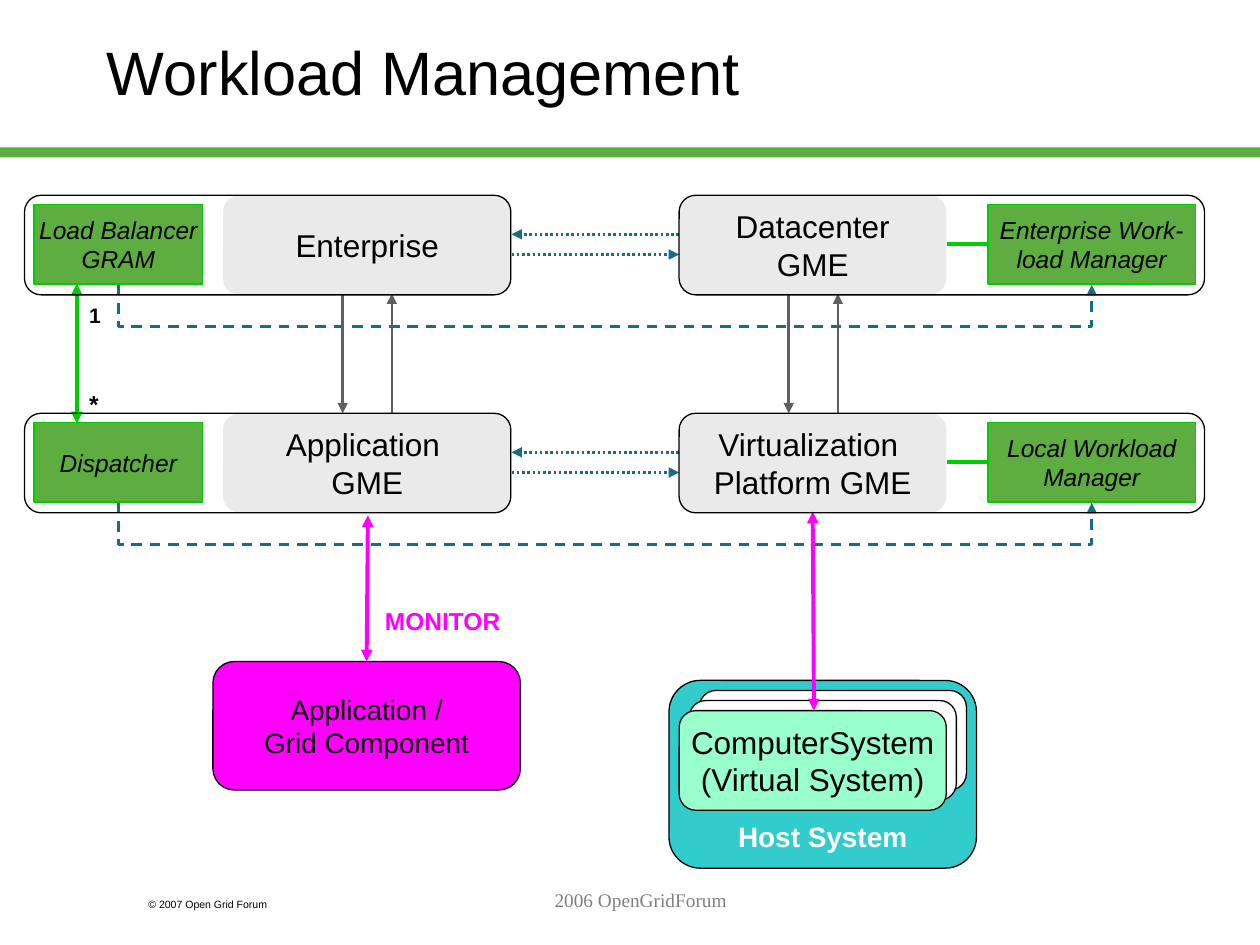
from dataclasses import dataclass

import pptx
import pptx.dml.color
import pptx.enum.dml
import pptx.enum.shapes
import pptx.enum.text
import pptx.oxml
import pptx.oxml.ns
import pptx.util

SHAPE = pptx.enum.shapes.MSO_SHAPE
CONNECTOR = pptx.enum.shapes.MSO_CONNECTOR
DASH = pptx.enum.dml.MSO_LINE
ANCHOR = pptx.enum.text.MSO_ANCHOR
ALIGN = pptx.enum.text.PP_ALIGN


@dataclass(frozen=True)
class Theme:
    """Colours, fonts and type sizes of the slide."""
    black: str = "000000"
    white: str = "FFFFFF"
    green: str = "5DAD41"
    bright: str = "00CC00"
    pale: str = "EAEAEA"
    grey: str = "5F5F5F"
    muted: str = "808080"
    blue: str = "176D89"
    magenta: str = "FF00FF"
    teal: str = "33CCCC"
    mint: str = "99FFCC"
    sans: str = "Arial"
    serif: str = "Times New Roman"
    title: float = 35
    gme: float = 18
    system: float = 16
    manager: float = 14
    count: float = 12
    footer: float = 11
    copyright: float = 6
    thin: float = 0.75
    flow: float = 1.5
    thick: float = 2.25


def rgb(value):
    """Turn a hex string into a colour."""
    return pptx.dml.color.RGBColor.from_string(value)


def write_text(frame, text, *, size, color, font, align=ALIGN.LEFT, anchor=ANCHOR.TOP,
               bold=False, italic=False, wrap=False, top=0.05):
    """Fill a text frame, one paragraph per line of text."""
    frame.text = text
    frame.word_wrap = wrap
    frame.vertical_anchor = anchor
    frame.margin_top = pptx.util.Inches(top)
    for paragraph in frame.paragraphs:
        paragraph.alignment = align
        style = paragraph.font
        style.size, style.name = pptx.util.Pt(size), font
        style.bold, style.italic = bold, italic
        style.color.rgb = rgb(color)


class Diagram:
    """Draws on one slide with a grid of 100 columns by 75 rows."""

    def __init__(self, deck, theme):
        """Open a blank slide and measure its grid."""
        self.theme = theme
        self.slide = deck.slides.add_slide(deck.slide_layouts[6])
        self.column = deck.slide_width / 100
        self.row = deck.slide_height / 75

    def place(self, *cells):
        """Convert alternating columns and rows to lengths."""
        return [round(cell * unit) for cell, unit in zip(cells, (self.column, self.row) * 2)]

    def box(self, cells, fill=None, line=None, text="", kind=SHAPE.ROUNDED_RECTANGLE, **style):
        """Add a box with an optional fill, outline and text."""
        shape = self.slide.shapes.add_shape(kind, *self.place(*cells))
        shape.shadow.inherit = False
        if fill:
            shape.fill.solid()
            shape.fill.fore_color.rgb = rgb(fill)
        else:
            shape.fill.background()
        if line:
            shape.line.color.rgb = rgb(line)
            shape.line.width = pptx.util.Pt(self.theme.thin)
        else:
            shape.line.fill.background()
        if text:
            look = dict(size=self.theme.gme, color=self.theme.black, font=self.theme.sans,
                        align=ALIGN.CENTER, anchor=ANCHOR.MIDDLE)
            write_text(shape.text_frame, text, **(look | style))

    def manager(self, left, top, width, text):
        """Add a green box that names a workload manager."""
        self.box((left, top, width, 6.3), self.theme.green, self.theme.bright, text,
                 SHAPE.RECTANGLE, size=self.theme.manager, italic=True)

    def label(self, cells, text, **style):
        """Add free text."""
        look = dict(size=self.theme.manager, color=self.theme.black, font=self.theme.sans)
        area = self.slide.shapes.add_textbox(*self.place(*cells))
        write_text(area.text_frame, text, **(look | style))

    def arrow(self, cells, color, width, ends=("tailEnd",), dash=None, kind=CONNECTOR.STRAIGHT):
        """Add a connector from one point to another."""
        link = self.slide.shapes.add_connector(kind, *self.place(*cells))
        link.line.color.rgb = rgb(color)
        link.line.width = pptx.util.Pt(width)
        if dash:
            link.line.dash_style = dash
        for end in ends:
            pptx.oxml.ns.qn("a:" + end)
            tip = link.get_or_add_ln().makeelement(pptx.oxml.ns.qn("a:" + end), {"type": "triangle"})
            link.get_or_add_ln().append(tip)
        properties = link._element.spPr
        properties.append(properties.makeelement(pptx.oxml.ns.qn("a:effectLst"), {}))
        return link

    def loop(self, start, end, level, drop):
        """Add a dashed elbow that dips below two points on one level."""
        centre, half, slim = (start + end) / 2, (end - start) / 2, 0.02
        link = self.arrow((centre + slim / 2, level - half, centre - slim / 2, level + half),
                          self.theme.blue, self.theme.flow, dash=DASH.DASH, kind=CONNECTOR.ELBOW)
        properties = link._element.spPr
        properties.find(pptx.oxml.ns.qn("a:xfrm")).set("rot", "16200000")
        guides = properties.find(pptx.oxml.ns.qn("a:prstGeom")).get_or_add_avLst()
        guides.append(guides.makeelement(pptx.oxml.ns.qn("a:gd"), {
            "name": "adj1", "fmla": f"val {round(drop / slim * 100000)}"}))


def main():
    """Build the workload management slide."""
    theme = Theme()
    deck = pptx.Presentation()
    deck.slide_width, deck.slide_height = pptx.util.Inches(10), pptx.util.Inches(7.5)
    draw = Diagram(deck, theme)
    both = ("headEnd", "tailEnd")
    tiers = (15.5, 32.8)
    tall = 7.9

    draw.box((0, 11.7, 100, 0.8), theme.green, kind=SHAPE.RECTANGLE)
    draw.label((10.8, 70.8, 15, 2), "© 2007 Open Grid Forum", size=theme.copyright, wrap=True)
    draw.label((7.5, 1.7, 85, 12.5), "Workload Management", size=theme.title, wrap=True, top=0.1)

    names = (("Enterprise", "Datacenter\nGME", "Load Balancer\nGRAM", "Enterprise Work-\nload Manager"),
             ("Application \vGME", "Virtualization \nPlatform GME", "Dispatcher",
              "Local Workload\nManager"))
    for top, (left_gme, right_gme, _, right_manager) in zip(tiers, names):
        draw.box((17.7, top, 22.9, tall), theme.pale, text=left_gme)
        draw.box((53.9, top, 21.2, tall), theme.pale, text=right_gme)
        draw.arrow((53.9, top + 3.1, 40.6, top + 3.1), theme.blue, theme.flow, dash=DASH.ROUND_DOT)
        draw.arrow((40.6, top + 4.7, 53.9, top + 4.7), theme.blue, theme.flow, dash=DASH.ROUND_DOT)
        draw.manager(78.4, top + 0.75, 16.5, right_manager)
        draw.arrow((78.4, top + 3.9, 75.2, top + 3.9), theme.bright, theme.thick, ends=())
        draw.loop(9.4, 86.65, top + 7.1, 3.4)

    for down in (27.2, 62.6):
        draw.arrow((down, 23.3, down, 32.8), theme.grey, theme.flow)
        draw.arrow((down + 3.9, 32.8, down + 3.9, 23.3), theme.grey, theme.flow)
    draw.arrow((6.1, 22.5, 6.1, 33.6), theme.bright, theme.thick, both)

    draw.box((53.1, 54, 24.4, 14.9), theme.teal, theme.black, "Host System", size=theme.system,
             color=theme.white, bold=True, anchor=ANCHOR.BOTTOM)
    for step, fill, text in ((2, theme.white, ""), (1, theme.white, ""),
                             (0, theme.mint, "ComputerSystem\n(Virtual System)")):
        draw.box((53.9 + 0.8 * step, 56.4 - 0.8 * step, 21.2, tall), fill, theme.black, text)
    draw.arrow((64.5, 40.6, 64.6, 56.4), theme.magenta, theme.thick, both)

    draw.box((16.9, 52.5, 24.4, 10.2), theme.magenta, theme.black,
             "Application /\nGrid Component", size=theme.system)
    draw.arrow((29.2, 40.9, 29.1, 52.5), theme.magenta, theme.thick, both)
    draw.label((29.5, 47.6, 11.2, 3.4), "MONITOR", color=theme.magenta, bold=True,
               align=ALIGN.RIGHT)
    draw.label((6.1, 23.5, 2.9, 3), "1", size=theme.count, bold=True)
    draw.label((6.1, 30.4, 2.7, 3.4), "*", bold=True)

    for top, (_, _, left_manager, _) in zip(tiers, names):
        draw.box((53.9, top, 41.7, tall), line=theme.black)
        draw.box((1.95, top, 38.6, tall), line=theme.black)
        draw.manager(2.7, top + 0.75, 13.4, left_manager)

    draw.label((21.7, 70, 58.3, 5), "2006 OpenGridForum", size=theme.footer, color=theme.muted,
               font=theme.serif, align=ALIGN.CENTER, wrap=True)
    deck.save("out.pptx")


if __name__ == "__main__":
    main()
